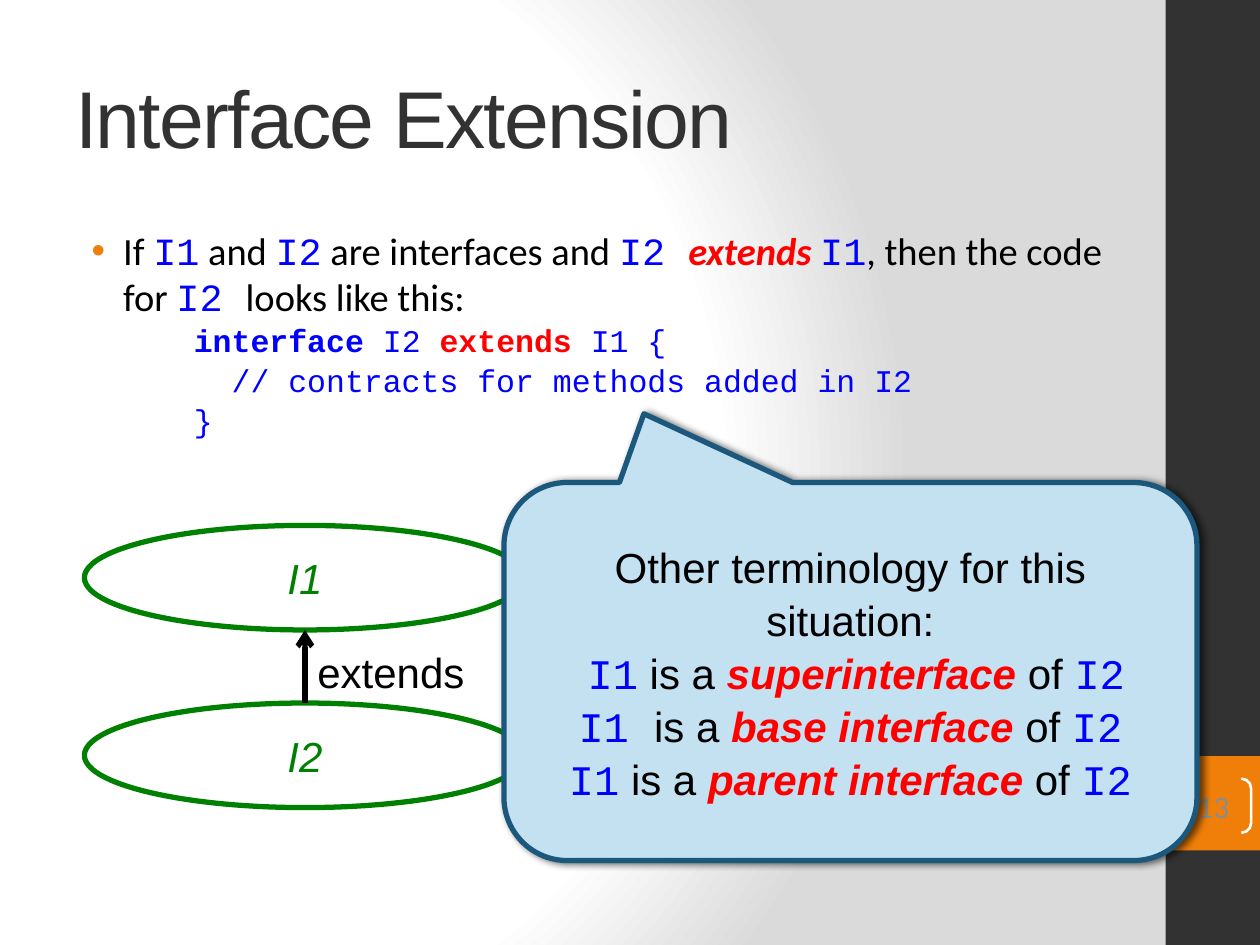
import pptx
import pptx.util
import pptx.dml.color
import pptx.enum.shapes
import pptx.enum.text
import pptx.oxml
import pptx.oxml.ns

Inches = pptx.util.Inches
Pt = pptx.util.Pt
RGBColor = pptx.dml.color.RGBColor
SHAPE = pptx.enum.shapes.MSO_SHAPE
ALIGN = pptx.enum.text.PP_ALIGN
MIDDLE = pptx.enum.text.MSO_ANCHOR.MIDDLE
qn = pptx.oxml.ns.qn

BLACK = RGBColor(0x00, 0x00, 0x00)
WHITE = RGBColor(0xFF, 0xFF, 0xFF)
DARK = RGBColor(0x32, 0x32, 0x32)
ORANGE = RGBColor(0xF0, 0x7F, 0x09)
GRAY = RGBColor(0x8C, 0x8C, 0x8C)
BLUE = RGBColor(0x00, 0x00, 0xFF)
RED = RGBColor(0xFF, 0x00, 0x00)
GREEN = RGBColor(0x00, 0x80, 0x00)
PALE = RGBColor(0xC4, 0xE1, 0xF2)
NAVY = RGBColor(0x1B, 0x58, 0x7C)

# Run styles: font, colour, bold, italic
PLAIN = ("Calibri", BLACK, False, False)
TERM = ("Calibri", RED, True, True)
CODE = ("Courier New", BLUE, False, False)
WORD = ("Courier New", BLUE, True, False)
KEY = ("Courier New", RED, True, False)
HEAD = ("Arial", DARK, False, False)
NOTE = ("Arial", BLACK, False, False)
NAME = ("Arial", RED, True, True)
NODE = ("Arial", GREEN, False, True)
PAGE = ("Calibri", GRAY, False, False)


def make_xml(tag, attrs="", body=""):
    space = pptx.oxml.ns.nsdecls("a")
    return pptx.oxml.parse_xml(f"<a:{tag} {space} {attrs}>{body}</a:{tag}>")


def paint_back(slide):
    slide.background.fill.gradient()
    old = next(slide.element.iter(qn("a:gradFill")))
    stops = "".join(
        f'<a:gs pos="{pos}"><a:srgbClr val="{color}"/></a:gs>'
        for pos, color in ((0, WHITE), (75000, WHITE), (100000, "DADADA")))
    new = make_xml("gradFill", 'rotWithShape="1"',
                   f'<a:gsLst>{stops}</a:gsLst><a:path path="circle">'
                   '<a:fillToRect l="20000" t="50000" r="100000" b="50000"/>'
                   '</a:path>')
    old.getparent().replace(old, new)


def add_para(frame, runs, size, align=ALIGN.LEFT, first=False):
    para = frame.paragraphs[0] if first else frame.add_paragraph()
    para.alignment = align
    for text, (face, color, bold, slant) in runs:
        run = para.add_run()
        run.text = text
        font = run.font
        font.name, font.size = face, Pt(size)
        font.bold, font.italic = bold, slant
        font.color.rgb = color
    return para


def add_box(slide, left, top, width, height, wrap=True):
    box = slide.shapes.add_textbox(
        Inches(left), Inches(top), Inches(width), Inches(height))
    box.text_frame.word_wrap = wrap
    return box.text_frame


def add_shape(slide, kind, left, top, width, height,
              fill=None, line=None, weight=3):
    shape = slide.shapes.add_shape(
        kind, Inches(left), Inches(top), Inches(width), Inches(height))
    shape.shadow.inherit = False
    if fill is None:
        shape.fill.background()
    else:
        shape.fill.solid()
        shape.fill.fore_color.rgb = fill
    if line is None:
        shape.line.fill.background()
    else:
        shape.line.color.rgb = line
        shape.line.width = Pt(weight)
    shape.text_frame.vertical_anchor = MIDDLE
    return shape


def add_node(slide, text, top):
    node = add_shape(slide, SHAPE.OVAL, 0.67, top, 3.5, 0.83, line=GREEN)
    add_para(node.text_frame, [(text, NODE)], 24, ALIGN.CENTER, first=True)


def add_arrow(slide, x, start, end):
    arrow = slide.shapes.add_connector(
        pptx.enum.shapes.MSO_CONNECTOR.STRAIGHT,
        Inches(x), Inches(start), Inches(x), Inches(end))
    arrow.line.color.rgb = BLACK
    arrow.line.width = Pt(3)
    arrow.line._get_or_add_ln().append(make_xml("tailEnd", 'type="arrow"'))
    arrow._element.spPr.append(make_xml("effectLst"))


def add_title(slide):
    frame = add_box(slide, 0.5, 0.3, 8.33, 1.25)
    frame.vertical_anchor = MIDDLE
    para = add_para(frame, [("Interface Extension", HEAD)], 46, first=True)
    para.runs[0].font._element.set("spc", "-100")


def add_body(slide):
    frame = add_box(slide, 0.5, 1.75, 8.57, 4.95)
    intro = [("If ", PLAIN), ("I1", CODE), (" and ", PLAIN), ("I2", CODE),
             (" are interfaces and ", PLAIN), ("I2 ", CODE),
             ("extends ", TERM), ("I1", CODE),
             (", then the code for ", PLAIN), ("I2 ", CODE),
             ("looks like this:", PLAIN)]
    props = add_para(frame, intro, 22, first=True)._p.get_or_add_pPr()
    props.set("marL", str(Inches(0.38)))
    props.set("indent", str(Inches(-0.25)))
    props.append(make_xml("buClr", "", f'<a:srgbClr val="{ORANGE}"/>'))
    props.append(make_xml("buFont", 'typeface="Arial"'))
    props.append(make_xml("buChar", 'char="•"'))

    # Code sample
    lines = [
        [("interface", WORD), (" I2 ", CODE), ("extends ", KEY),
         ("I1 {", CODE)],
        [("  // contracts for methods added in I2", CODE)],
        [("}", CODE)],
    ]
    for runs in lines:
        para = add_para(frame, runs, 18)
        para.line_spacing = 1.06
        para._p.get_or_add_pPr().set("marL", str(Inches(0.94)))


def add_callout(slide):
    shape = add_shape(slide, SHAPE.ROUNDED_RECTANGULAR_CALLOUT,
                      4, 3.83, 5.5, 3, PALE, NAVY)
    for spot, value in enumerate((-0.298, -0.682, 0.167)):
        shape.adjustments[spot] = round(value, 3)
    shade = make_xml(
        "outerShdw",
        f'blurRad="{Pt(4)}" dist="{Pt(2)}" dir="0" rotWithShape="0"',
        f'<a:srgbClr val="{BLACK}"><a:alpha val="60000"/></a:srgbClr>')
    shape._element.spPr.find(qn("a:effectLst")).append(shade)

    frame = shape.text_frame
    frame.word_wrap = True
    lines = [[("Other terminology for this situation:", NOTE)]]
    for lead, sub, verb, term in (
            (" ", "I1", " is a ", "superinterface "),
            ("", "I1 ", "is a ", "base interface "),
            ("", "I1", " is a ", "parent interface ")):
        start = [(lead, NOTE)] if lead else []
        lines.append(start + [(sub, CODE), (verb, NOTE), (term, NAME),
                              ("of ", NOTE), ("I2", CODE)])
    for spot, runs in enumerate(lines):
        para = add_para(frame, runs, 24, ALIGN.CENTER, first=spot == 0)
        para.line_spacing = 1.05


def add_page(slide):
    mark = add_shape(slide, SHAPE.DOUBLE_BRACKET, 9.33, 6.18, 0.6, 0.43,
                     line=WHITE, weight=1.5)
    mark.adjustments[0] = 0.18
    frame = mark.text_frame
    frame.margin_left = frame.margin_right = 0
    frame.margin_top = frame.margin_bottom = 0
    add_para(frame, [("13", PAGE)], 18, ALIGN.CENTER, first=True)


def main():
    deck = pptx.Presentation()
    deck.slide_width, deck.slide_height = Inches(10), Inches(7.5)
    slide = deck.slides.add_slide(deck.slide_layouts[6])

    # Backdrop and side band
    paint_back(slide)
    add_shape(slide, SHAPE.RECTANGLE, 9.25, 0, 0.75, 7.5, DARK)
    add_shape(slide, SHAPE.RECTANGLE, 9.25, 6, 0.75, 0.75, ORANGE)

    # Text
    add_title(slide)
    add_body(slide)
    add_page(slide)

    # Diagram
    add_node(slide, "I2", 5.58)
    add_node(slide, "I1", 4.17)
    add_arrow(slide, 2.42, 5.58, 5)
    label = add_box(slide, 2.42, 5.08, 1.38, 0.5, wrap=False)
    add_para(label, [("extends", NOTE)], 24, first=True)

    add_callout(slide)
    deck.save("out.pptx")


if __name__ == "__main__":
    main()
